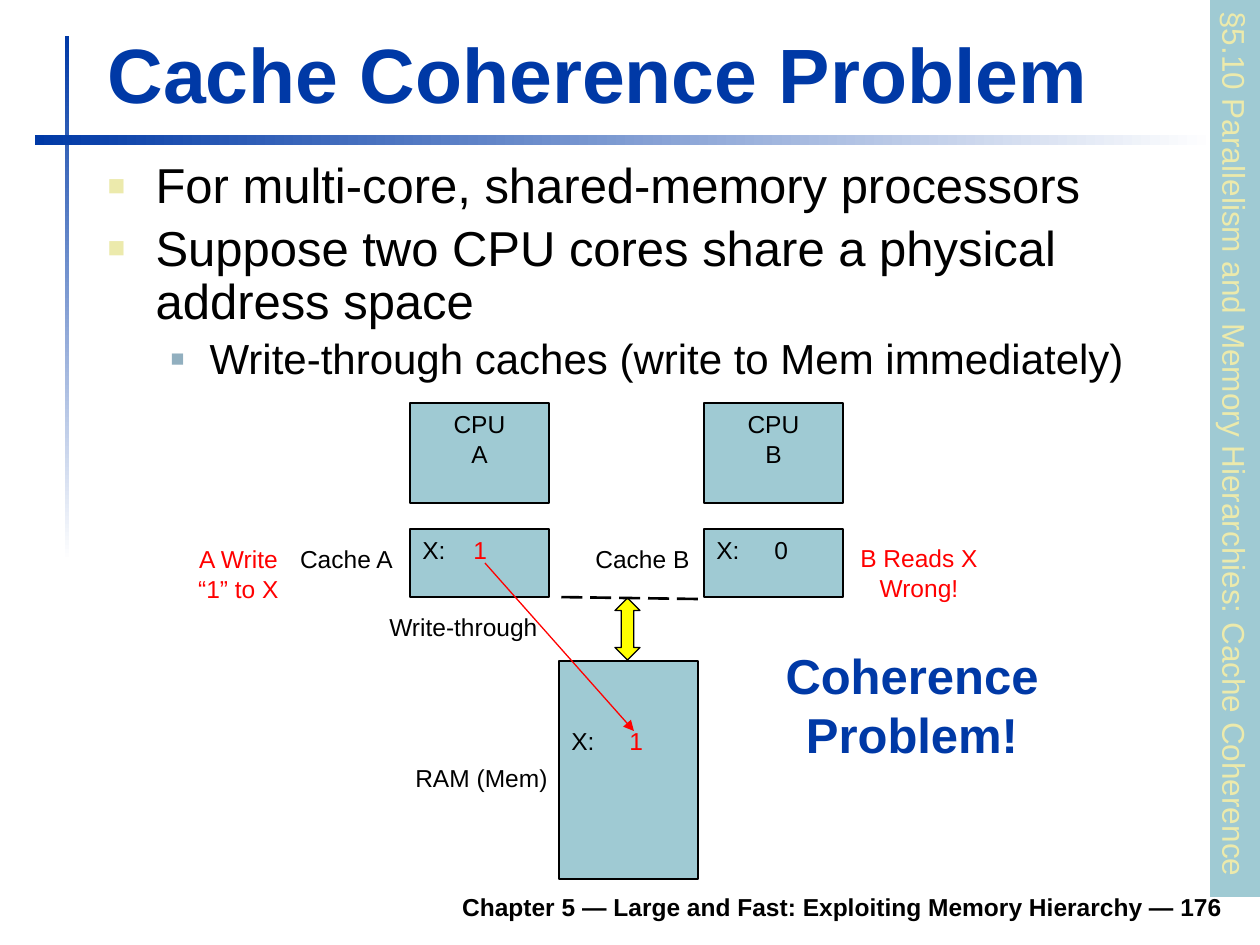
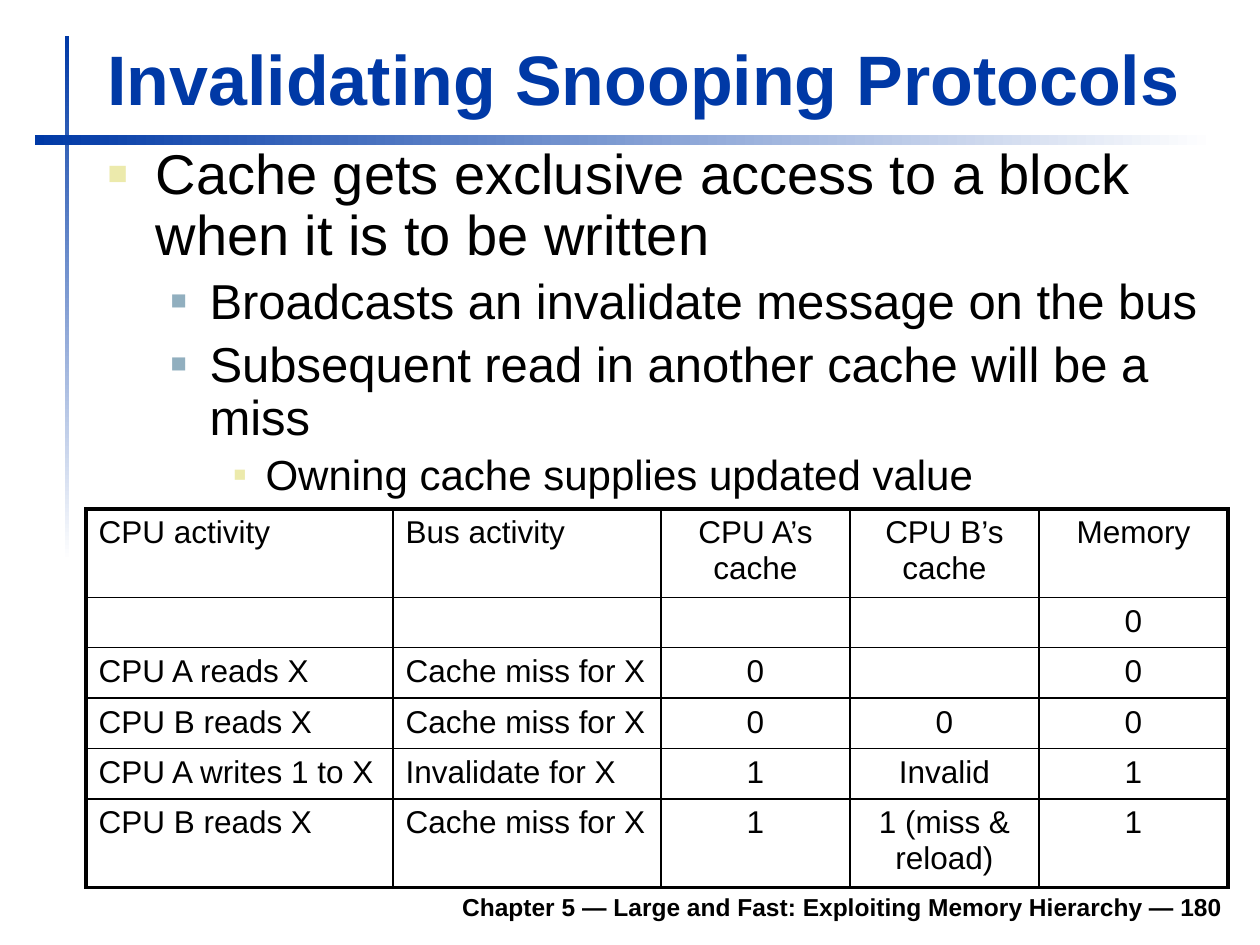
"""Build two slides on cache coherence and snooping protocols."""
from typing import Any, NamedTuple

import pptx
import pptx.dml.color
import pptx.enum.dml
import pptx.enum.shapes
import pptx.enum.text
import pptx.oxml.ns
import pptx.util
from lxml import etree

RGB = pptx.dml.color.RGBColor
BLUE = RGB(0x00, 0x39, 0xA6)
WHITE = RGB(0xFF, 0xFF, 0xFF)
BLACK = RGB(0x00, 0x00, 0x00)
RED = RGB(0xFF, 0x00, 0x00)
TEAL = RGB(0x9F, 0xCA, 0xD3)
STEEL = RGB(0x91, 0xAF, 0xBF)
CREAM = RGB(0xEC, 0xEA, 0xAC)
YELLOW = RGB(0xFF, 0xFF, 0x00)

FONT = "Arial"
SCALE = 914400 / 126
ALIGN = pptx.enum.text.PP_ALIGN
ANCHOR = pptx.enum.text.MSO_ANCHOR
SHAPE = pptx.enum.shapes.MSO_SHAPE
CHAPTER = "Chapter 5 — Large and Fast: Exploiting Memory Hierarchy"
SECTION = "§5.10 Parallelism and Memory Hierarchies: Cache Coherence"


class Area(NamedTuple):
    left: int
    top: int
    width: int
    height: int


class Style(NamedTuple):
    size: int = 14
    color: RGB = BLACK
    bold: bool = False
    align: Any = ALIGN.LEFT


class Label(NamedTuple):
    area: Area
    text: str
    style: Style


class Store(NamedTuple):
    area: Area
    value: str
    color: RGB
    tab: int
    inset: int


class Level(NamedTuple):
    left: int
    hang: int
    color: RGB
    percent: int


class Item(NamedTuple):
    text: str
    size: int
    level: int = 0


NOTE = Style(align=ALIGN.CENTER)
ALERT = Style(color=RED, align=ALIGN.CENTER)
LEVELS = (
    Level(48, 48, CREAM, 60),
    Level(102, 39, STEEL, 55),
    Level(158, 32, CREAM, 50),
)
CORES = (
    Label(Area(410, 403, 139, 100), "CPU\nA", NOTE),
    Label(Area(704, 403, 139, 100), "CPU\nB", NOTE),
)
STORES = (
    Store(Area(410, 529, 139, 68), "1", RED, 51, 6),
    Store(Area(704, 529, 139, 68), "0", BLACK, 58, 6),
    Store(Area(559, 661, 139, 218), "1", RED, 58, 65),
)
LABELS = (
    Label(Area(374, 606, 179, 43), "Write-through", NOTE),
    Label(Area(847, 537, 144, 72), "B Reads X Wrong!", ALERT),
    Label(Area(174, 538, 129, 72), "A Write “1” to X", ALERT),
    Label(Area(769, 639, 286, 131), "Coherence Problem!", Style(28, BLUE, True, ALIGN.CENTER)),
    Label(Area(282, 538, 129, 43), "Cache A", NOTE),
    Label(Area(402, 757, 159, 43), "RAM (Mem)", NOTE),
    Label(Area(578, 538, 129, 43), "Cache B", NOTE),
)
PROBLEM = (
    Item("For multi-core, shared-memory processors", 28),
    Item("Suppose two CPU cores share a physical address space", 28),
    Item("Write-through caches (write to Mem immediately)", 24, 1),
)
SNOOPING = (
    Item("Cache gets exclusive access to a block when it is to be written", 32),
    Item("Broadcasts an invalidate message on the bus", 28, 1),
    Item("Subsequent read in another cache will be a miss", 28, 1),
    Item("Owning cache supplies updated value", 24, 2),
)
COLUMNS = (307, 268, 189, 189, 189)
HEIGHTS = (88, 50, 50, 50, 50, 84)
ROWS = (
    ("CPU activity", "Bus activity", "CPU A’s cache", "CPU B’s cache", "Memory"),
    ("", "", "", "", "0"),
    ("CPU A reads X", "Cache miss for X", "0", "", "0"),
    ("CPU B reads X", "Cache miss for X", "0", "0", "0"),
    ("CPU A writes 1 to X", "Invalidate for X", "1", "Invalid", "1"),
    ("CPU B reads X", "Cache miss for X", "1", "1 (miss & reload)", "1"),
)


def px(value: int) -> pptx.util.Emu:
    return pptx.util.Emu(round(value * SCALE))


def place(area: Area) -> tuple:
    return tuple(px(side) for side in area)


def child(parent: Any, tag: str, **attrs: Any) -> Any:
    texts = {key: str(value) for key, value in attrs.items()}
    return etree.SubElement(parent, pptx.oxml.ns.qn(tag), texts)


def format_line(line: Any, style: Style) -> None:
    line.alignment = style.align
    font = line.font
    font.name, font.size, font.bold = FONT, pptx.util.Pt(style.size), style.bold
    font.color.rgb = style.color


def write(frame: Any, text: str, style: Style, anchor: Any = ANCHOR.TOP) -> None:
    frame.word_wrap = True
    frame.vertical_anchor = anchor
    frame.text = text
    for line in frame.paragraphs:
        format_line(line, style)


def add_label(slide: Any, label: Label, anchor: Any = ANCHOR.TOP) -> None:
    box = slide.shapes.add_textbox(*place(label.area))
    write(box.text_frame, label.text, label.style, anchor)


def add_shape(slide: Any, area: Area, fill: RGB = TEAL, kind: Any = SHAPE.RECTANGLE) -> Any:
    shape = slide.shapes.add_shape(kind, *place(area))
    shape.shadow.inherit = False
    shape.fill.solid()
    shape.fill.fore_color.rgb = fill
    shape.line.color.rgb = BLACK
    shape.line.width = pptx.util.Pt(0.75)
    return shape


def add_store(slide: Any, store: Store) -> None:
    frame = add_shape(slide, store.area).text_frame
    frame.vertical_anchor = ANCHOR.TOP
    frame.margin_top = px(store.inset)
    line = frame.paragraphs[0]
    tabs = child(line._p.get_or_add_pPr(), "a:tabLst")
    child(tabs, "a:tab", pos=px(store.tab), algn="l")
    format_line(line, Style())
    for text, color in (("X:\t", BLACK), (store.value, store.color)):
        run = line.add_run()
        run.text = text
        run.font.color.rgb = color


def add_line(slide: Any, start: tuple, end: tuple, color: RGB, width: float) -> Any:
    kind = pptx.enum.shapes.MSO_CONNECTOR.STRAIGHT
    line = slide.shapes.add_connector(kind, *place(start + end))
    line.line.color.rgb = color
    line.line.width = pptx.util.Pt(width)
    child(line._element.spPr, "a:effectLst")
    return line


def add_bar(slide: Any, area: Area, angle: int) -> None:
    bar = add_shape(slide, area)
    bar.line.fill.background()
    bar.fill.gradient()
    bar.fill.gradient_angle = angle
    for stop, color, spot in zip(bar.fill.gradient_stops, (BLUE, WHITE), (0, 1)):
        stop.color.rgb = color
        stop.position = spot


def move(holder: Any, area: Area) -> None:
    holder.left, holder.top, holder.width, holder.height = place(area)
    holder.text_frame.auto_size = pptx.enum.text.MSO_AUTO_SIZE.NONE


def add_list(holder: Any, items: tuple) -> None:
    frame = holder.text_frame
    frame.text = "\n".join(item.text for item in items)
    for line, item in zip(frame.paragraphs, items):
        level = LEVELS[item.level]
        line.level = item.level
        line.line_spacing = 0.9
        props = line._p.get_or_add_pPr()
        props.set("marL", str(px(level.left)))
        props.set("indent", str(-px(level.hang)))
        child(child(props, "a:buClr"), "a:srgbClr", val=level.color)
        child(props, "a:buSzPct", val=level.percent * 1000)
        child(props, "a:buFont", typeface=FONT)
        child(props, "a:buChar", char="■")
        format_line(line, Style(item.size))
    frame.paragraphs[0].space_before = pptx.util.Pt(0)


def add_slide(deck: Any, title: str, size: int, spot: Area, items: tuple, body: Area, page: int) -> Any:
    slide = deck.slides.add_slide(deck.slide_layouts[1])
    add_bar(slide, Area(65, 36, 4, 525), 270)
    add_bar(slide, Area(35, 135, 1180, 10), 0)
    foot = Style(bold=True, align=ALIGN.RIGHT)
    add_label(slide, Label(Area(233, 879, 1002, 49), f"{CHAPTER} — {page}", foot), ANCHOR.BOTTOM)
    head, text = slide.placeholders
    move(head, spot)
    write(head.text_frame, title, Style(size, BLUE, True), ANCHOR.BOTTOM)
    move(text, body)
    add_list(text, items)
    return slide


def add_band(slide: Any) -> None:
    band = add_shape(slide, Area(786, 423, 898, 50))
    band.line.fill.background()
    band.rotation = 90
    write(band.text_frame, SECTION, Style(18, CREAM))
    band.text_frame.word_wrap = False


def draw_caches(slide: Any) -> None:
    add_band(slide)
    for core in CORES:
        write(add_shape(slide, core.area).text_frame, core.text, core.style)
    for store in STORES:
        add_store(slide, store)
    add_shape(slide, Area(615, 598, 25, 62), YELLOW, SHAPE.UP_DOWN_ARROW)
    bus = add_line(slide, (698, 599), (554, 597), BLACK, 1.5)
    bus.line.dash_style = pptx.enum.dml.MSO_LINE.LONG_DASH
    update = add_line(slide, (485, 563), (634, 731), RED, 0.75)
    child(update.line._get_or_add_ln(), "a:tailEnd", type="triangle")
    for label in LABELS:
        add_label(slide, label)


def add_edges(cell: Any, row: int, col: int) -> None:
    outer = {
        "a:lnL": col == 0,
        "a:lnR": col == len(COLUMNS) - 1,
        "a:lnT": row == 0,
        "a:lnB": row == len(ROWS) - 1,
    }
    props = cell._tc.get_or_add_tcPr()
    for tag, thick in outer.items():
        edge = child(props, tag, w=pptx.util.Pt(2.25 if thick else 1))
        child(child(edge, "a:solidFill"), "a:srgbClr", val=BLACK)


def draw_table(slide: Any) -> None:
    area = Area(86, 509, sum(COLUMNS), sum(HEIGHTS))
    table = slide.shapes.add_table(len(ROWS), len(COLUMNS), *place(area)).table
    table.first_row = table.horz_banding = False
    for column, width in zip(table.columns, COLUMNS):
        column.width = px(width)
    for row, texts in enumerate(ROWS):
        table.rows[row].height = px(HEIGHTS[row])
        for col, text in enumerate(texts):
            cell = table.cell(row, col)
            cell.text = text
            align = ALIGN.LEFT if col < 2 else ALIGN.CENTER
            format_line(cell.text_frame.paragraphs[0], Style(18, align=align))
            add_edges(cell, row, col)
            cell.fill.background()


def main() -> None:
    deck = pptx.Presentation()
    deck.slide_width, deck.slide_height = px(1260), px(945)
    draw_caches(add_slide(deck, "Cache Coherence Problem", 44, Area(95, 20, 1138, 105),
                          PROBLEM, Area(95, 155, 1052, 188), 176))
    draw_table(add_slide(deck, "Invalidating Snooping Protocols", 40, Area(95, 29, 1138, 97),
                         SNOOPING, Area(95, 140, 1140, 368), 180))
    deck.save("out.pptx")


if __name__ == "__main__":
    main()
